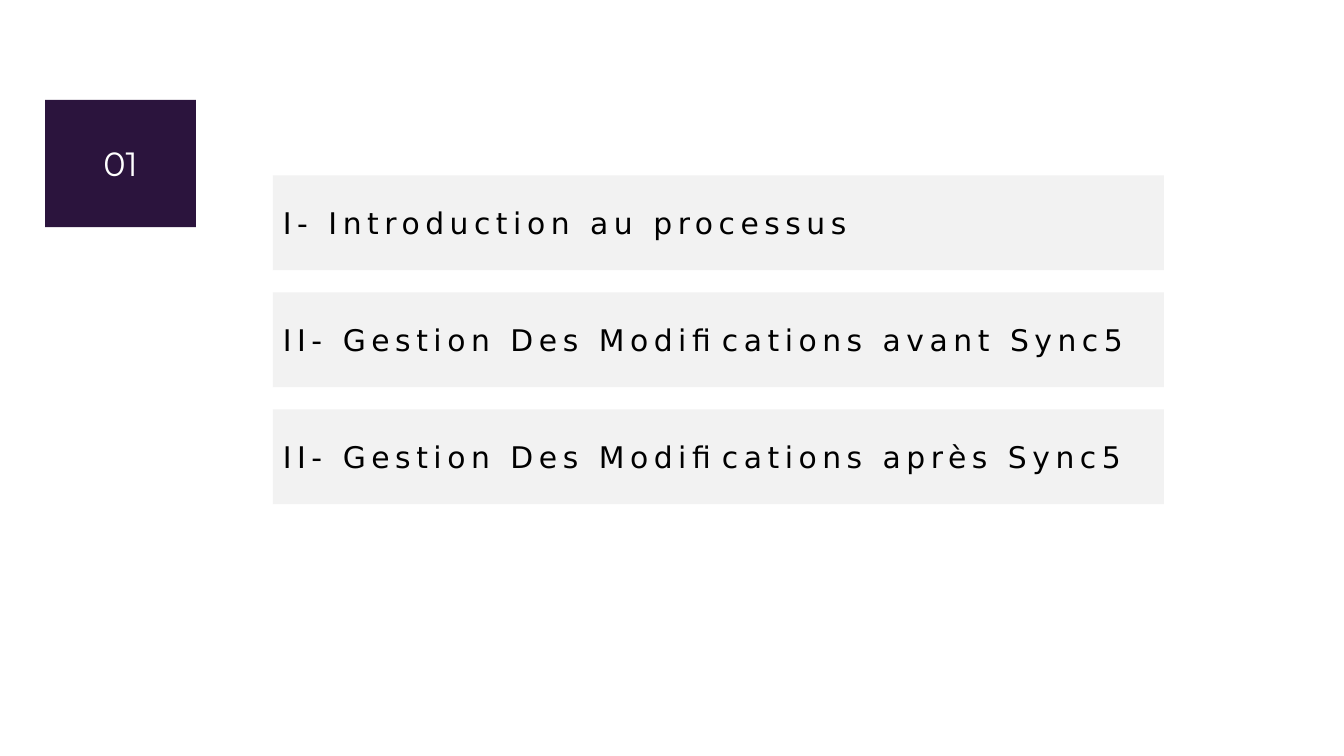
import dataclasses

import pptx
import pptx.dml.color
import pptx.enum.shapes
import pptx.enum.text
import pptx.util

Pt = pptx.util.Pt
RGB = pptx.dml.color.RGBColor.from_string
ALIGN = pptx.enum.text.PP_ALIGN


@dataclasses.dataclass(frozen=True)
class Theme:
    number_fill: str = "2B143D"
    number_color: str = "FFFFFF"
    number_font: str = "Montserrat"
    number_size: float = 24
    entry_fill: str = "F2F2F2"
    entry_color: str = "000000"
    entry_font: str = "DejaVu Sans"
    entry_size: float = 21.3
    entry_tracking: float = 4


THEME = Theme()
ENTRIES = [
    "I- Introduction au processus",
    "II- Gestion Des Modifications avant Sync5",
    "II- Gestion Des Modifications après Sync5",
]


def add_panel(slide, box, wording, fill, color, align, font_format, tracking=0):
    panel = slide.shapes.add_shape(
        pptx.enum.shapes.MSO_SHAPE.RECTANGLE, *(Pt(length) for length in box)
    )
    panel.shadow.inherit = False
    panel.fill.solid()
    panel.fill.fore_color.rgb = RGB(fill)
    panel.line.fill.background()
    frame = panel.text_frame
    frame.word_wrap = True
    frame.vertical_anchor = pptx.enum.text.MSO_ANCHOR.MIDDLE
    paragraph = frame.paragraphs[0]
    paragraph.alignment = align
    run = paragraph.add_run()
    run.text = wording
    for attribute, value in font_format.items():
        setattr(run.font, attribute, value)
    run.font.color.rgb = RGB(color)
    if tracking:
        run.font._element.set("spc", str(round(tracking * 100)))


def add_agenda(slide, box, entries, gap):
    left, top, width, height = box
    entry_height = (height - gap * (len(entries) - 1)) / len(entries)
    entry_format = {"name": THEME.entry_font, "size": Pt(THEME.entry_size)}
    for index, entry in enumerate(entries):
        entry_top = top + index * (entry_height + gap)
        add_panel(
            slide, (left, entry_top, width, entry_height), entry,
            THEME.entry_fill, THEME.entry_color, ALIGN.LEFT,
            entry_format, THEME.entry_tracking,
        )


def add_section_number(slide, box, number):
    number_format = {"name": THEME.number_font, "size": Pt(THEME.number_size)}
    add_panel(
        slide, box, number, THEME.number_fill, THEME.number_color,
        ALIGN.CENTER, number_format,
    )


def main():
    deck = pptx.Presentation()
    deck.slide_width, deck.slide_height = Pt(960), Pt(540)
    slide = deck.slides.add_slide(deck.slide_layouts[6])
    add_agenda(slide, (195, 125.3, 636.5, 234.8), ENTRIES, gap=15.8)
    add_section_number(slide, (32.2, 71.4, 107.8, 90.8), "01")
    deck.save("out.pptx")


if __name__ == "__main__":
    main()
